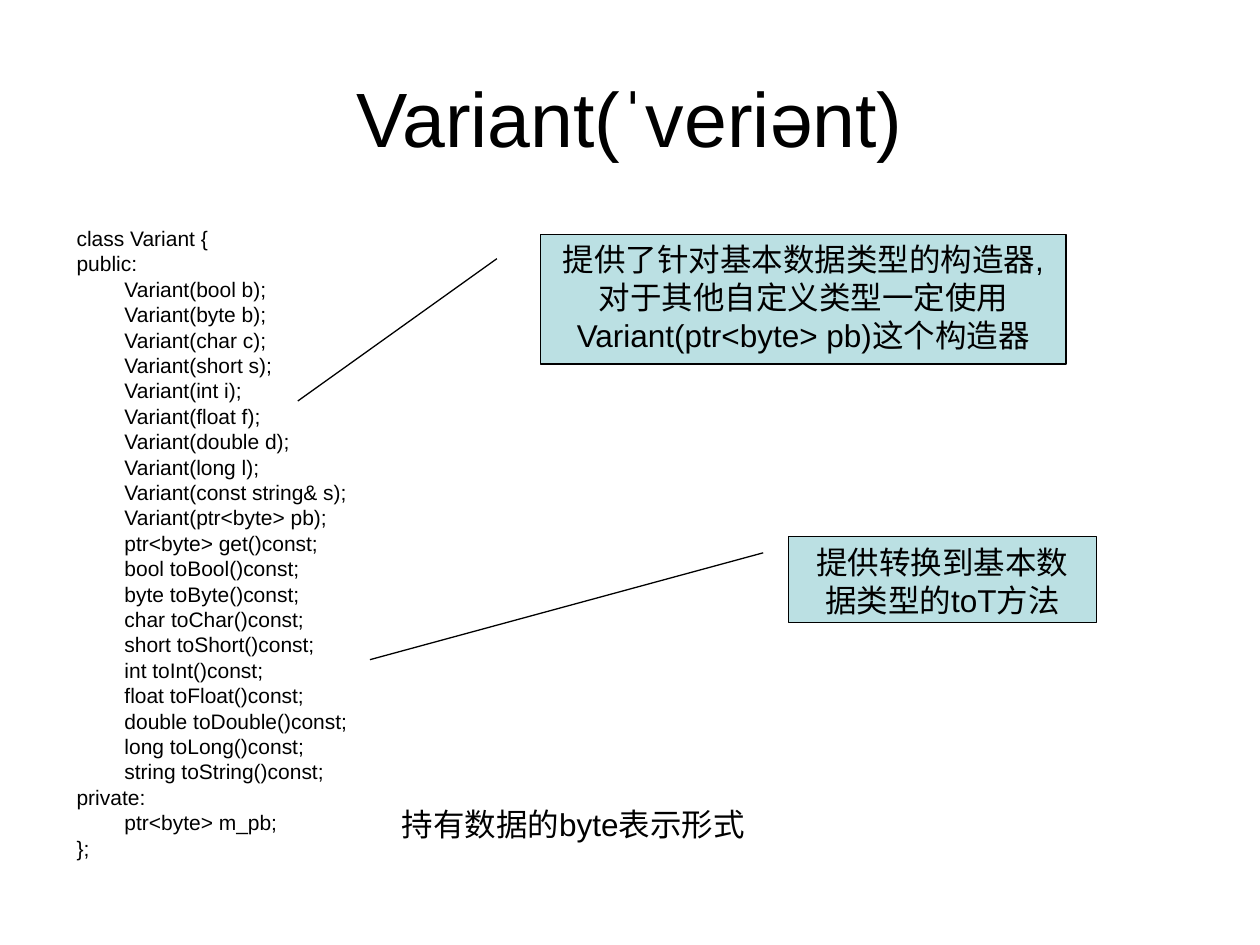
import pptx
import pptx.util
import pptx.dml.color
import pptx.enum.shapes
import pptx.enum.text

COLORS = {"text": "000000", "callout": "BBE0E3", "line": "000000"}
FONT = "Arial"
WIDTH, HEIGHT = 10, 7.5
INDENT = 0.38
Inches, Pt = pptx.util.Inches, pptx.util.Pt
PP_ALIGN = pptx.enum.text.PP_ALIGN
ANCHOR = pptx.enum.text.MSO_ANCHOR


def color(name):
    return pptx.dml.color.RGBColor.from_string(COLORS[name])


def write(shape, text, size, alignment, anchor=ANCHOR.TOP, wrap=True):
    """Fill a shape with text, one paragraph per line, and format it."""
    frame = shape.text_frame
    frame.text = text
    frame.word_wrap = wrap
    frame.vertical_anchor = anchor
    for paragraph in frame.paragraphs:
        paragraph.alignment = alignment
        for run in paragraph.runs:
            run.font.name = FONT
            run.font.size = Pt(size)
            run.font.color.rgb = color("text")


presentation = pptx.Presentation()
presentation.slide_width = Inches(WIDTH)
presentation.slide_height = Inches(HEIGHT)
slide = presentation.slides.add_slide(presentation.slide_layouts[5])

# Title
title = slide.shapes.title
title.left, title.top = Inches(0.05 * WIDTH), Inches(0.04 * HEIGHT)
title.width, title.height = Inches(0.9 * WIDTH), Inches(1.25)
write(title, "Variant(ˈveriənt)", 44, PP_ALIGN.CENTER, ANCHOR.MIDDLE)

# Class declaration: members are tabbed to the hanging indent
constructors = ["bool b", "byte b", "char c", "short s", "int i", "float f",
                "double d", "long l", "const string& s", "ptr<byte> pb"]
conversions = ["bool", "byte", "char", "short", "int", "float", "double",
               "long", "string"]
lines = ["class Variant {", "public:"]
lines += [f"\tVariant({parameter});" for parameter in constructors]
lines += ["\tptr<byte> get()const;"]
lines += [f"\t{kind} to{kind.capitalize()}()const;" for kind in conversions]
lines += ["private:", "\tptr<byte> m_pb;", "};"]

code = slide.shapes.add_textbox(Inches(0.51), Inches(1.78), Inches(3.23), Inches(5.2))
write(code, "\n".join(lines), 12, PP_ALIGN.LEFT)
for number, paragraph in enumerate(code.text_frame.paragraphs):
    paragraph.line_spacing = 0.8
    paragraph.space_before = Pt(3 if number else 0)
    properties = paragraph._p.get_or_add_pPr()
    properties.set("marL", str(Inches(INDENT)))
    properties.set("indent", str(-Inches(INDENT)))

# Note beside the private member
note = slide.shapes.add_textbox(Inches(3.09), Inches(6.34), Inches(3.04), Inches(0.4))
write(note, "持有数据的byte表示形式", 18, PP_ALIGN.LEFT, wrap=False)

# Callouts: box in inches, then pointer start and end (y, x) as shares of the box
callouts = [
    ("提供了针对基本数据类型的构造器,对于其他自定义类型一定使用Variant(ptr<byte> pb)这个构造器",
     (4.29, 1.86, 4.17, 1.03), (0.188, -0.083, 1.285, -0.462)),
    ("提供转换到基本数据类型的toT方法",
     (6.26, 4.26, 2.44, 0.68), (0.188, -0.083, 1.435, -1.362)),
]
for text, box, pointer in callouts:
    callout = slide.shapes.add_shape(
        pptx.enum.shapes.MSO_SHAPE.LINE_CALLOUT_1, *map(Inches, box))
    for index, share in enumerate(pointer):
        callout.adjustments[index] = share
    callout.shadow.inherit = False
    callout.fill.solid()
    callout.fill.fore_color.rgb = color("callout")
    callout.line.color.rgb = color("line")
    callout.line.width = Pt(0.75)
    write(callout, text, 18, PP_ALIGN.CENTER)

presentation.save("out.pptx")
